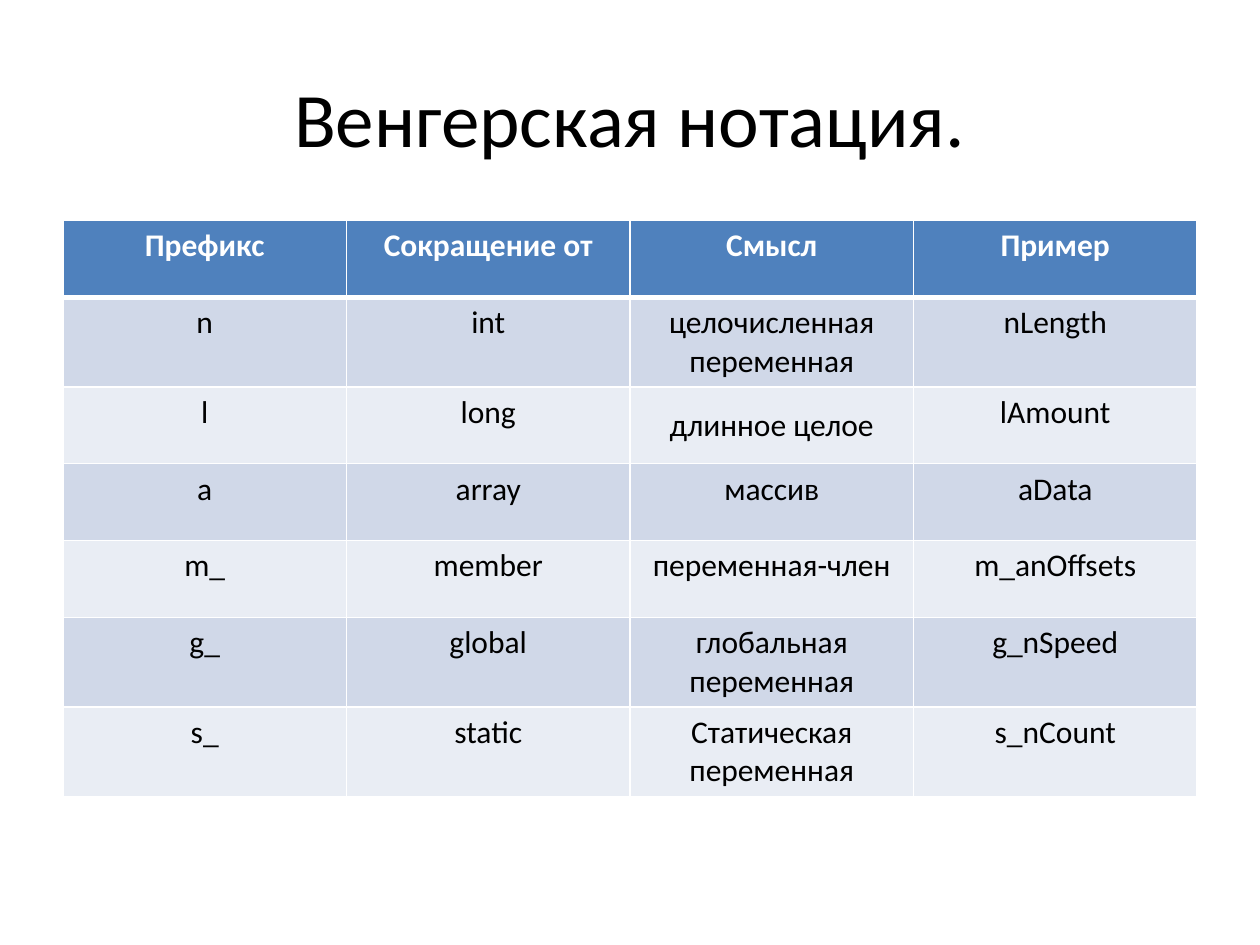
import pptx
import pptx.dml.color
import pptx.enum.text
import pptx.oxml.ns
import pptx.util
from lxml import etree
from pptx.util import Inches

COLORS = {
    "text": "000000",
    "white": "FFFFFF",
    "header": "4F81BD",
    "odd": "D0D8E8",
    "even": "E9EDF4",
}
HEADER = ["Префикс", "Сокращение от", "Смысл", "Пример"]
PREFIXES = [
    ["n", "int", "целочисленная переменная", "nLength"],
    ["l", "long", "длинное целое", "lAmount"],
    ["a", "array", "массив", "aData"],
    ["m_", "member", "переменная-член", "m_anOffsets"],
    ["g_", "global", "глобальная переменная", "g_nSpeed"],
    ["s_", "static", "Статическая переменная", "s_nCount"],
]
MIDDLE = pptx.enum.text.MSO_ANCHOR.MIDDLE


def rgb(name):
    return pptx.dml.color.RGBColor.from_string(COLORS[name])


class SlideBuilder:
    """Holds the text style and the slide being filled."""

    font = "Calibri"

    def __init__(self, prs):
        self.s = prs.slides.add_slide(prs.slide_layouts[5])

    def add_text(self, p, text, size, color="text", bold=False):
        """Add one centred run to a paragraph."""
        p.alignment = pptx.enum.text.PP_ALIGN.CENTER
        r = p.add_run()
        r.text = text
        r.font.name = self.font
        r.font.size = pptx.util.Pt(size)
        r.font.bold = bold
        r.font.color.rgb = rgb(color)

    def title(self, text, left, top, width, height):
        sp = self.s.shapes.title
        sp.left, sp.top = Inches(left), Inches(top)
        sp.width, sp.height = Inches(width), Inches(height)
        tf = sp.text_frame
        tf.vertical_anchor = MIDDLE
        self.add_text(tf.paragraphs[0], text, 44)

    def border(self, cell, side, width):
        """Draw a white line on one side (L, R, T or B) of a cell."""
        qn = pptx.oxml.ns.qn
        ln = etree.SubElement(cell._tc.get_or_add_tcPr(), qn(f"a:ln{side}"),
                              w=str(pptx.util.Pt(width)))
        fill = etree.SubElement(ln, qn("a:solidFill"))
        etree.SubElement(fill, qn("a:srgbClr"), val=COLORS["white"])

    def table(self, rows, left, top, width, row_height):
        """Add a table with a header row, banded rows and equal columns."""
        cols = len(rows[0])
        table = self.s.shapes.add_table(
            len(rows), cols, Inches(left), Inches(top),
            Inches(width), Inches(row_height * len(rows))).table
        for column in table.columns:
            column.width = Inches(width / cols)
        for i, row in enumerate(rows):
            table.rows[i].height = Inches(row_height)
            is_header = i == 0
            fill = "header" if is_header else "odd" if i % 2 else "even"
            for j, text in enumerate(row):
                cell = table.cell(i, j)
                for side in "LRTB":
                    thick = (side == "B" and i == 0) or (side == "T" and i == 1)
                    self.border(cell, side, 3 if thick else 1)
                cell.fill.solid()
                cell.fill.fore_color.rgb = rgb(fill)
                self.add_text(cell.text_frame.paragraphs[0], text, 18,
                              "white" if is_header else "text", is_header)
        return table


def main():
    prs = pptx.Presentation()
    prs.slide_width, prs.slide_height = Inches(10), Inches(7.5)
    slide = SlideBuilder(prs)
    slide.title("Венгерская нотация.", 0.5, 0.3, 9, 1.25)
    table = slide.table([HEADER] + PREFIXES, 0.5, 1.75, 9, 0.61)
    table.cell(2, 2).vertical_anchor = MIDDLE
    prs.save("out.pptx")


if __name__ == "__main__":
    main()
